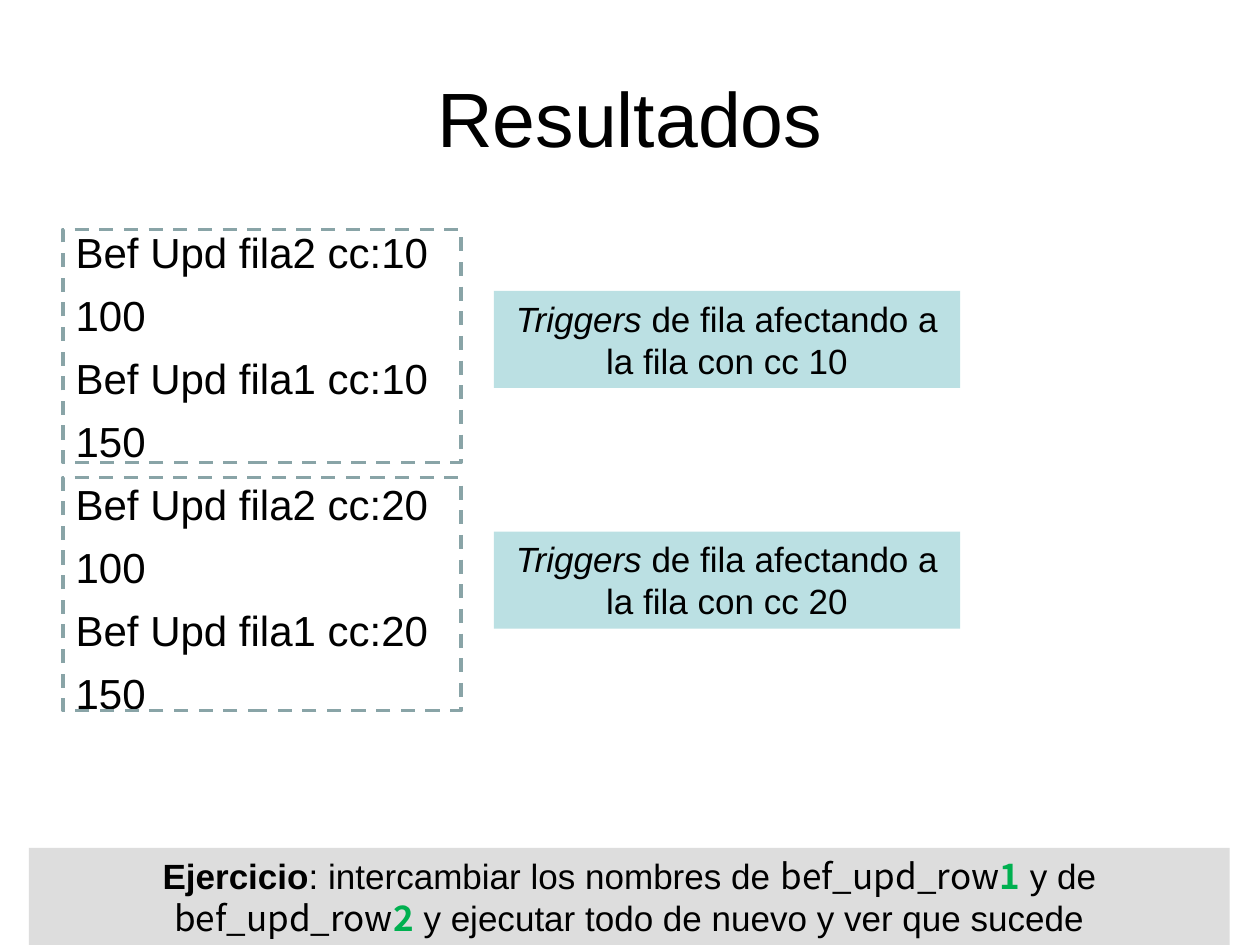
from pptx import Presentation
from pptx.dml.color import RGBColor
from pptx.enum.dml import MSO_LINE
from pptx.enum.shapes import MSO_SHAPE
from pptx.enum.text import MSO_ANCHOR, MSO_AUTO_SIZE, PP_ALIGN
from pptx.oxml.ns import qn
from pptx.util import Inches, Pt

BODY = dict(name="Arial", size=Pt(20), bold=False, italic=False, color="000000")
CODE = BODY | dict(name="Noto Sans CJK SC")
NUMBER = CODE | dict(bold=True, color="00B050")


def write_runs(paragraph, runs):
    for text, style in runs:
        run = paragraph.add_run()
        run.text = text
        for attribute, value in style.items():
            if attribute == "color":
                run.font.color.rgb = RGBColor.from_string(value)
            else:
                setattr(run.font, attribute, value)


def add_box(left, top, width, height, fill=None, runs=()):
    """Add a filled box with centred text, or a dashed frame if there is no fill."""
    box = slide.shapes.add_shape(MSO_SHAPE.RECTANGLE, Inches(left), Inches(top),
                                 Inches(width), Inches(height))
    box.shadow.inherit = False
    if fill:
        box.fill.solid()
        box.fill.fore_color.rgb = RGBColor.from_string(fill)
        box.line.fill.background()
    else:
        box.fill.background()
        box.line.color.rgb = RGBColor.from_string("89A4A7")
        box.line.width = Pt(2)
        box.line.dash_style = MSO_LINE.DASH
    box.text_frame.word_wrap = True
    box.text_frame.vertical_anchor = MSO_ANCHOR.TOP
    paragraph = box.text_frame.paragraphs[0]
    paragraph.alignment = PP_ALIGN.CENTER
    write_runs(paragraph, runs)


prs = Presentation()
prs.slide_width, prs.slide_height = Inches(10), Inches(7.5)
slide = prs.slides.add_slide(prs.slide_layouts[1])
title, output = slide.placeholders

for placeholder, top, height in ((title, 0.3, 1.25), (output, 1.75, 4.95)):
    placeholder.left, placeholder.top = Inches(0.5), Inches(top)
    placeholder.width, placeholder.height = Inches(9), Inches(height)
    placeholder.text_frame.auto_size = MSO_AUTO_SIZE.NONE

title.text_frame.vertical_anchor = MSO_ANCHOR.MIDDLE
title.text_frame.paragraphs[0].alignment = PP_ALIGN.CENTER
write_runs(title.text_frame.paragraphs[0], [("Resultados", BODY | dict(size=Pt(44)))])

cost_centres = (10, 20)
output_lines = [line for cc in cost_centres
                for line in (f"Bef Upd fila2 cc:{cc}", "100", f"Bef Upd fila1 cc:{cc}", "150")]
for index, line in enumerate(output_lines):
    paragraph = output.text_frame.paragraphs[0] if index == 0 else output.text_frame.add_paragraph()
    paragraph.space_before = Pt(7.2)
    properties = paragraph._p.get_or_add_pPr()
    properties.set("marL", "0")
    properties.set("indent", "0")
    properties.append(properties.makeelement(qn("a:buNone"), {}))
    write_runs(paragraph, [(line, BODY | dict(size=Pt(24)))])

for cc, frame_top, label_top in zip(cost_centres, (1.82, 3.79), (2.31, 4.22)):
    add_box(0.5, frame_top, 3.16, 1.85)
    add_box(3.92, label_top, 3.7, 0.77, "BBE0E3", [
        ("Triggers", BODY | dict(italic=True)),
        (f" de fila afectando a la fila con cc {cc}", BODY),
    ])

add_box(0.23, 6.73, 9.53, 0.77, "DDDDDD", [
    ("Ejercicio", BODY | dict(bold=True)),
    (": intercambiar los nombres de ", BODY),
    ("bef_upd_row", CODE),
    ("1", NUMBER),
    (" y de ", BODY),
    ("bef_upd_row", CODE),
    ("2", NUMBER),
    (" y ejecutar todo de nuevo y ver que sucede", BODY),
])

prs.save("out.pptx")
